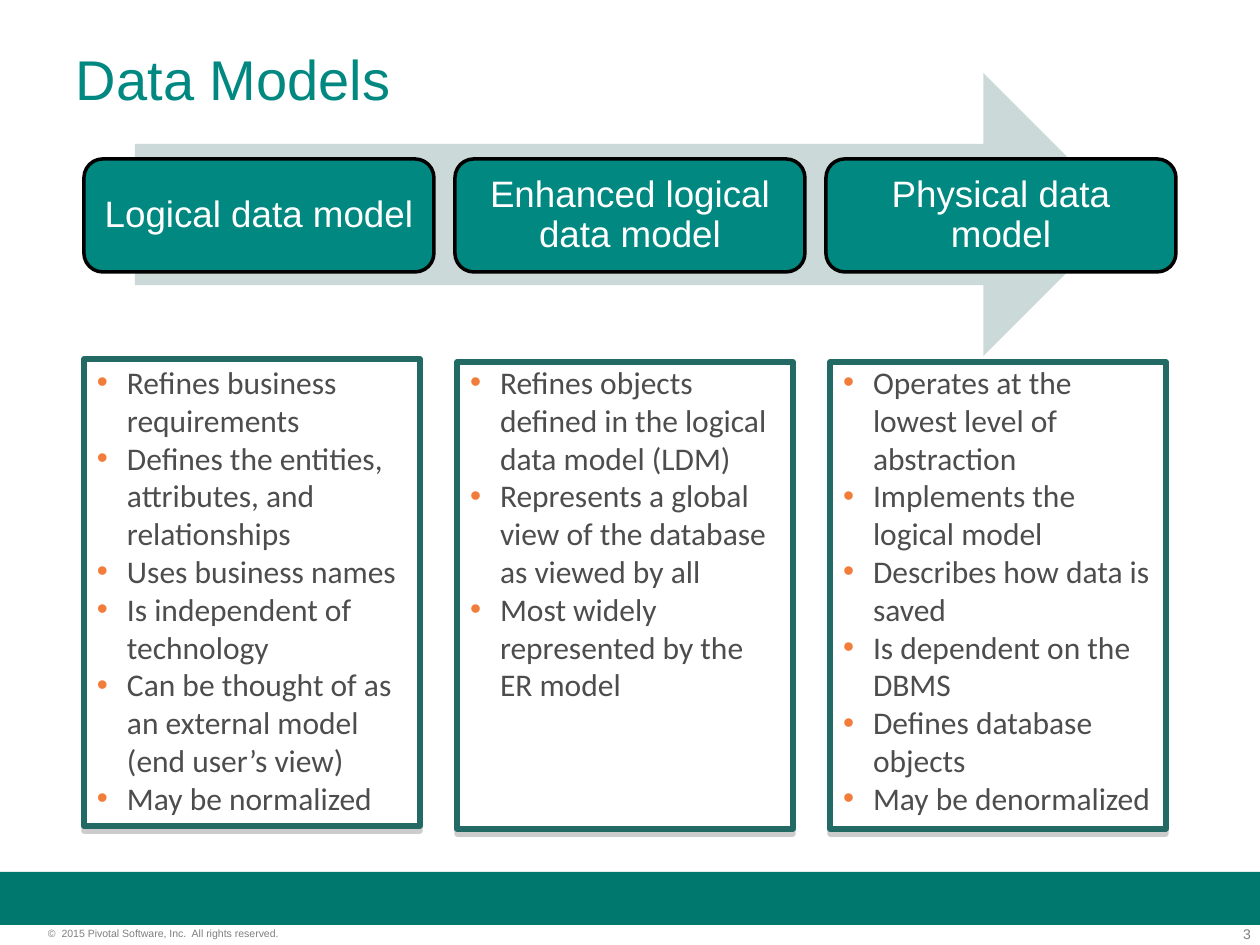
from lxml import etree
from pptx import Presentation
from pptx.dml.color import RGBColor
from pptx.enum.shapes import MSO_SHAPE
from pptx.enum.text import MSO_ANCHOR, MSO_AUTO_SIZE, PP_ALIGN
from pptx.oxml.ns import qn
from pptx.util import Pt

RECT, ROUNDED, ARROW = MSO_SHAPE.RECTANGLE, MSO_SHAPE.ROUNDED_RECTANGLE, MSO_SHAPE.RIGHT_ARROW
LEFT, CENTER, RIGHT = PP_ALIGN.LEFT, PP_ALIGN.CENTER, PP_ALIGN.RIGHT
TOP, MIDDLE = MSO_ANCHOR.TOP, MSO_ANCHOR.MIDDLE

# Content
TITLE = "Data Models"
MODELS = [
    ("Logical data model", [
        "Refines business requirements",
        "Defines the entities, attributes, and relationships",
        "Uses business names",
        "Is independent of technology",
        "Can be thought of as an external model (end user’s view)",
        "May be normalized",
    ]),
    ("Enhanced logical data model", [
        "Refines objects defined in the logical data model (LDM)",
        "Represents a global view of the database as viewed by all",
        "Most widely represented by the ER model",
    ]),
    ("Physical data model", [
        "Operates at the lowest level of abstraction",
        "Implements the logical model",
        "Describes how data is saved",
        "Is dependent on the DBMS",
        "Defines database objects",
        "May be denormalized",
    ]),
]
COPYRIGHT = "©  2015 Pivotal Software, Inc.  All rights reserved."
PAGE = "3"

COLORS = {
    "teal": "008881", "band": "00786E", "arrow": "CBDAD8", "frame": "236A64",
    "bullet": "F27C3A", "text": "4D4D4D", "footer": "7F7F7F",
    "shadow": "808080", "white": "FFFFFF", "black": "000000",
}

# Layout in px, 126 to the inch
SCALE = 914400 / 126
COLUMN_LEFT = 84
LABEL_STEP, LABEL_TOP, LABEL_W, LABEL_H = 371, 159, 350, 113
PANEL_STEP, PANEL_W, PANEL_H = 373, 336, 467
PANEL_TOPS = (359, 362, 362)
LIST_TOP, LIST_H = 357, 466
INDENT = 30


def px(length):
    return round(length * SCALE)


def rgb(name):
    return RGBColor.from_string(COLORS[name])


def place(shape, left, top, width, height):
    shape.left, shape.top = px(left), px(top)
    shape.width, shape.height = px(width), px(height)


def add_box(kind, box, fill, line=None, line_width=0):
    shape = slide.shapes.add_shape(kind, *map(px, box))
    shape.shadow.inherit = False
    shape.fill.solid()
    shape.fill.fore_color.rgb = rgb(fill)
    if line:
        shape.line.color.rgb = rgb(line)
        shape.line.width = Pt(line_width)
    else:
        shape.line.fill.background()
    return shape


def write(shape, lines, size, color, font="Arial", align=LEFT, anchor=TOP,
          insets=(0, 0), spacing=1.0):
    frame = shape.text_frame
    frame.text = "\n".join(lines)
    frame.word_wrap = True
    frame.auto_size = MSO_AUTO_SIZE.NONE
    frame.vertical_anchor = anchor
    frame.margin_left = frame.margin_right = px(insets[0])
    frame.margin_top = frame.margin_bottom = px(insets[1])
    for paragraph in frame.paragraphs:
        paragraph.alignment = align
        paragraph.line_spacing = spacing
        paragraph.space_before = paragraph.space_after = Pt(0)
        for run in paragraph.runs:
            run.font.name, run.font.size, run.font.bold = font, Pt(size), False
            run.font.color.rgb = rgb(color)


def add_bullets(shape):
    for paragraph in shape.text_frame.paragraphs:
        props = paragraph._p.get_or_add_pPr()
        props.set("marL", str(px(INDENT)))
        props.set("indent", str(-px(INDENT)))
        color = etree.SubElement(props, qn("a:buClr"))
        etree.SubElement(color, qn("a:srgbClr"), val=COLORS["bullet"])
        etree.SubElement(props, qn("a:buFont"), typeface="Arial")
        etree.SubElement(props, qn("a:buChar"), char="•")


def drop_shadow(shape):
    effects = shape.element.spPr.find(qn("a:effectLst"))
    shadow = etree.SubElement(effects, qn("a:outerShdw"), blurRad="0",
                              dist=str(Pt(3)), dir="5400000", rotWithShape="0")
    color = etree.SubElement(shadow, qn("a:srgbClr"), val=COLORS["shadow"])
    etree.SubElement(color, qn("a:alpha"), val="40000")


prs = Presentation()
prs.slide_width, prs.slide_height = px(1260), px(945)
slide = prs.slides.add_slide(prs.slide_layouts.get_by_name("Comparison"))
title, *bodies = slide.placeholders

# Footer band, page number and copyright
add_box(RECT, (0, 872, 1260, 53), "band")
for text, box, size, align in (
    (PAGE, (1178, 926, 73, 16), 8, RIGHT),
    (COPYRIGHT, (48, 927, 314, 13), 6, LEFT),
):
    footer = slide.shapes.add_textbox(*map(px, box))
    write(footer, [text], size, "footer", align=align)

# Title
place(title, 63, 38, 1134, 158)
write(title, [TITLE], 32, "teal", insets=(13, 6))

# Framed lists, each placeholder raised above its panel
for column, ((_, points), top) in enumerate(zip(MODELS, PANEL_TOPS)):
    left = COLUMN_LEFT + column * PANEL_STEP
    panel = add_box(RECT, (left, top, PANEL_W, PANEL_H), "white", "frame", 3)
    drop_shadow(panel)
    body = bodies[column]
    panel.element.addnext(body.element)
    place(body, left, LIST_TOP, PANEL_W, LIST_H)
    write(body, points, 18, "text", font="Calibri", insets=(13, 6))
    add_bullets(body)
for unused in bodies[len(MODELS):]:
    unused.element.getparent().remove(unused.element)

# Arrow with the three model names
add_box(ARROW, (135, 73, 990, 283), "arrow")
for column, (name, _) in enumerate(MODELS):
    left = COLUMN_LEFT + column * LABEL_STEP
    label = add_box(ROUNDED, (left, LABEL_TOP, LABEL_W, LABEL_H), "teal", "black", 2)
    write(label, [name], 21, "white", align=CENTER, anchor=MIDDLE,
          insets=(11, 11), spacing=0.9)

prs.save("out.pptx")
